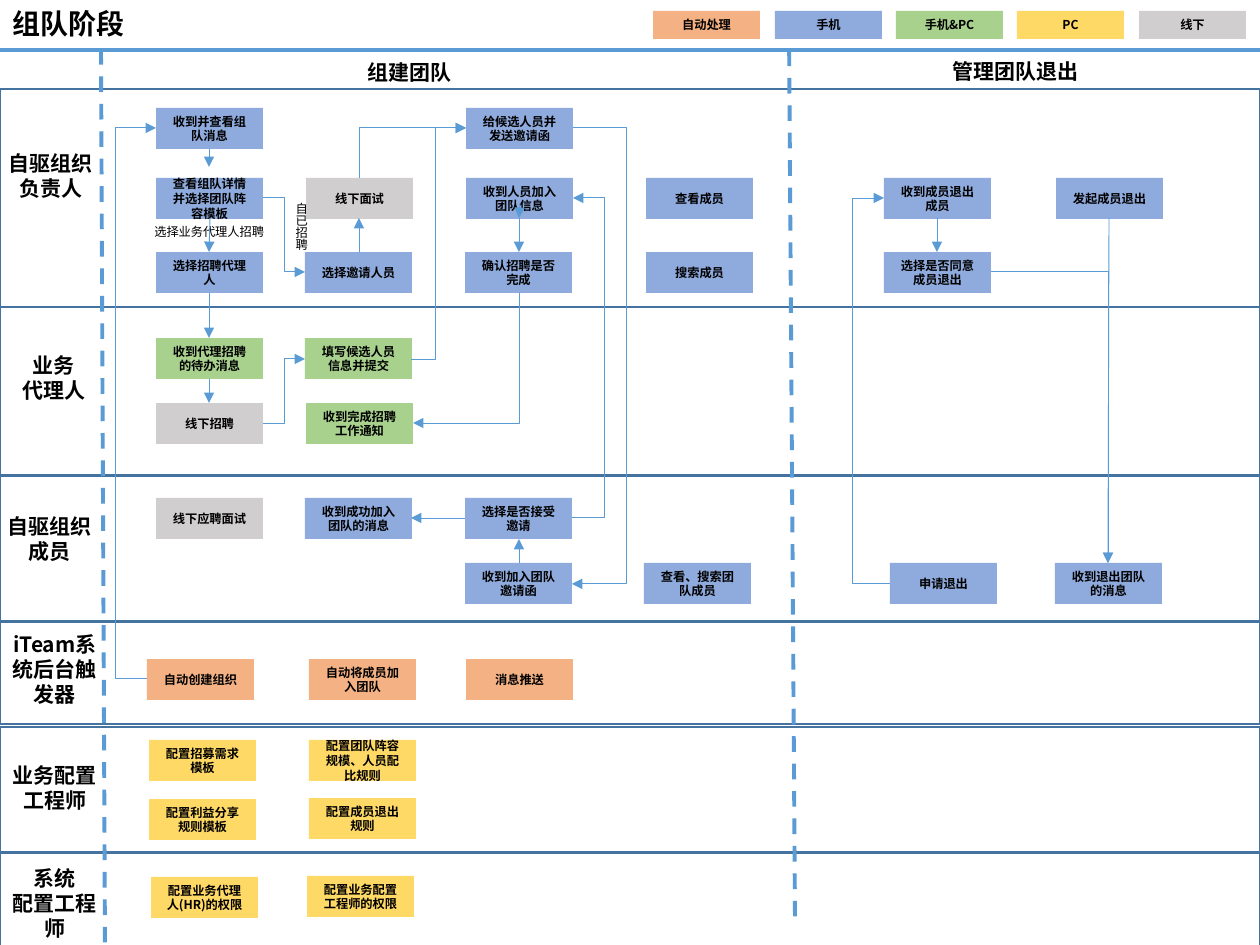
"""Build the swimlane slide for the team-forming stage."""
from lxml.etree import SubElement
from pptx import Presentation
from pptx.dml.color import RGBColor
from pptx.enum.dml import MSO_LINE as Dash
from pptx.enum.shapes import MSO_CONNECTOR as Conn, MSO_SHAPE as Shape
from pptx.enum.text import MSO_ANCHOR as Anchor, MSO_AUTO_SIZE as Fit, PP_ALIGN as Align
from pptx.oxml.ns import qn
from pptx.util import Emu, Pt

SCALE = 914400 / 126
FONT = "Noto Sans CJK SC"
BLACK = RGBColor(0x00, 0x00, 0x00)
EDGE = RGBColor(0x43, 0x73, 0x9E)
LINE = RGBColor(0x5B, 0x9B, 0xD5)
BLUE = RGBColor(0x8F, 0xAA, 0xDC)
GREEN = RGBColor(0xA9, 0xD1, 0x8E)
GOLD = RGBColor(0xFF, 0xD9, 0x66)
GREY = RGBColor(0xD0, 0xCE, 0xCE)
PEACH = RGBColor(0xF4, 0xB1, 0x83)

LANES = [(89, 218), (307, 168), (476, 146), (621, 103), (727, 125), (853, 93)]
KEYS = [("自动处理", PEACH), ("手机", BLUE), ("手机&PC", GREEN), ("PC", GOLD), ("线下", GREY)]
HEADS = [
    (355, 53, 110, 40, "组建团队"),
    (930, 52, 171, 37, "管理团队退出"),
    (-4, 144, 110, 139, "自驱组织负责人"),
    (-1, 346, 110, 120, "业务\n代理人"),
    (-5, 507, 110, 78, "自驱组织成员"),
    (0, 625, 110, 110, "iTeam系统后台触发器"),
    (0, 756, 110, 71, "业务配置工程师"),
    (0, 859, 110, 71, "系统\n配置工程师"),
]
NODES = {
    BLUE: [
        (156, 108, "收到并查看组队消息"), (156, 178, "查看组队详情并选择团队阵容模板"),
        (156, 252, "选择招聘代理人"), (305, 252, "选择邀请人员"),
        (466, 108, "给候选人员并发送邀请函"), (466, 178, "收到人员加入团队信息"),
        (465, 252, "确认招聘是否完成"), (646, 178, "查看成员"), (646, 252, "搜索成员"),
        (884, 178, "收到成员退出成员"), (884, 252, "选择是否同意成员退出"),
        (1056, 178, "发起成员退出"), (305, 498, "收到成功加入团队的消息"),
        (465, 498, "选择是否接受邀请"), (465, 563, "收到加入团队邀请函"),
        (644, 563, "查看、搜索团队成员"), (890, 563, "申请退出"),
        (1055, 563, "收到退出团队的消息"),
    ],
    GREEN: [
        (156, 338, "收到代理招聘的待办消息"), (305, 338, "填写候选人员信息并提交"),
        (306, 403, "收到完成招聘工作通知"),
    ],
    GREY: [(306, 178, "线下面试"), (156, 403, "线下招聘"), (156, 498, "线下应聘面试")],
    PEACH: [(147, 659, "自动创建组织"), (309, 659, "自动将成员加入团队"), (466, 659, "消息推送")],
    GOLD: [
        (149, 740, "配置招募需求模板"), (309, 740, "配置团队阵容规模、人员配比规则"),
        (149, 799, "配置利益分享规则模板"), (309, 798, "配置成员退出规则"),
        (151, 877, "配置业务代理人(HR)的权限"), (307, 876, "配置业务配置工程师的权限"),
    ],
}
ARROWS = [
    (209, 149, 209, 167), (210, 218, 209, 252), (209, 293, 209, 338), (209, 379, 209, 403),
    (359, 252, 359, 218), (520, 203, 519, 218), (519, 218, 519, 252), (519, 563, 519, 539),
    (465, 518, 411, 518), (937, 218, 937, 252), (1109, 218, 1108, 563),
]
BENDS = [
    (263, 198, 305, 272, 284), (147, 679, 156, 128, 115), (573, 128, 572, 584, 627),
    (890, 584, 884, 198, 853), (411, 359, 466, 128, 435), (572, 518, 573, 198, 605),
    (263, 424, 305, 359, 284),
]
CORNERS = [
    (991, 272, 1108, 563, "tailEnd"), (413, 423, 519, 293, "headEnd"),
    (466, 128, 359, 178, "tailEnd"),
]


def px(*nums):
    """Turn pixel lengths into EMU."""
    return [Emu(round(n * SCALE)) for n in nums]


def write(frame, text, size, bold=True, align=Align.CENTER):
    """Fill a text frame, one paragraph a line."""
    for i, part in enumerate(text.split("\n")):
        para = frame.paragraphs[0] if i == 0 else frame.add_paragraph()
        para.alignment = align
        run = para.add_run()
        run.text = part
        font = run.font
        font.name, font.size, font.bold = FONT, Pt(size), bold
        font.color.rgb = BLACK
        SubElement(font._element, qn("a:ea")).set("typeface", FONT)


def label(slide, box, text, size, bold=True, align=Align.CENTER, wrap=True):
    """Add a text box and return its frame."""
    frame = slide.shapes.add_textbox(*px(*box)).text_frame
    frame.word_wrap = wrap
    if not wrap:
        frame.auto_size = Fit.SHAPE_TO_FIT_TEXT
    write(frame, text, size, bold, align)
    return frame


def rect(slide, box):
    """Add a plain rectangle."""
    shape = slide.shapes.add_shape(Shape.RECTANGLE, *px(*box))
    shape.shadow.inherit = False
    return shape


def lane(slide, top, high):
    """Add an outlined lane over the full width."""
    shape = rect(slide, (0, top, 1260, high))
    shape.fill.background()
    shape.line.color.rgb = EDGE
    shape.line.width = Pt(1)


def node(slide, box, text, color):
    """Add a filled step box."""
    shape = rect(slide, box)
    shape.fill.solid()
    shape.fill.fore_color.rgb = color
    shape.line.fill.background()
    frame = shape.text_frame
    frame.word_wrap = True
    frame.vertical_anchor = Anchor.MIDDLE
    write(frame, text, 7)


def link(slide, ends, width=0.5, kind=Conn.STRAIGHT, tip=None, dash=None):
    """Add a connector with an optional arrow tip."""
    item = slide.shapes.add_connector(kind, *px(*ends))
    item.line.color.rgb = LINE
    item.line.width = Pt(width)
    if dash:
        item.line.dash_style = dash
    if tip:
        SubElement(item.line._get_or_add_ln(), qn("a:" + tip)).set("type", "triangle")
    SubElement(item._element.spPr, qn("a:effectLst"))
    return item


def bend(slide, x1, y1, x2, y2, via):
    """Add an arrow whose upright part stands at via."""
    item = link(slide, (x1, y1, x2, y2), kind=Conn.ELBOW, tip="tailEnd")
    geom = item._element.spPr.find(qn("a:prstGeom"))
    guide = SubElement(geom.get_or_add_avLst(), qn("a:gd"))
    guide.set("name", "adj1")
    guide.set("fmla", f"val {round((via - x1) / (x2 - x1) * 100000)}")


def corner(slide, x1, y1, x2, y2, tip):
    """Add an arrow that runs level and then upright."""
    item = link(slide, (x1, y1, x2, y2), kind=Conn.ELBOW, tip=tip)
    item._element.spPr.find(qn("a:prstGeom")).set("prst", "bentConnector2")


def main():
    """Build and save the slide."""
    deck = Presentation()
    deck.slide_width, deck.slide_height = px(1260, 945)
    slide = deck.slides.add_slide(deck.slide_layouts[6])
    for top, high in LANES:
        lane(slide, top, high)
    title = label(slide, (0, 1, 1086, 49), "组队阶段", 16, align=Align.LEFT)
    title.vertical_anchor = Anchor.MIDDLE
    title.paragraphs[0].line_spacing = 0.9
    link(slide, (0, 50, 1260, 50), 2.25)
    for ends in [(789, 23, 795, 917), (101, 49, 105, 946)]:
        link(slide, ends, 2.25, dash=Dash.DASH)
    for *box, text in HEADS:
        label(slide, box, text, 12)
    for i, (text, color) in enumerate(KEYS):
        node(slide, (653 + round(121.5 * i), 11, 107, 28), text, color)
    label(slide, (142, 218, 137, 28), "选择业务代理人招聘", 7, False, Align.LEFT, False)
    for color, items in NODES.items():
        for x, y, text in items:
            node(slide, (x, y, 107, 41), text, color)
    side = label(slide, (275, 190, 40, 62), "自已招聘", 7, False, Align.LEFT, False)
    side._txBody.bodyPr.set("vert", "eaVert")
    for ends in ARROWS:
        link(slide, ends, tip="tailEnd")
    for ends in BENDS:
        bend(slide, *ends)
    for x1, y1, x2, y2, tip in CORNERS[:2]:
        corner(slide, x1, y1, x2, y2, tip)
    corner(slide, *CORNERS[2][:4], "headEnd")
    deck.save("out.pptx")


if __name__ == "__main__":
    main()
